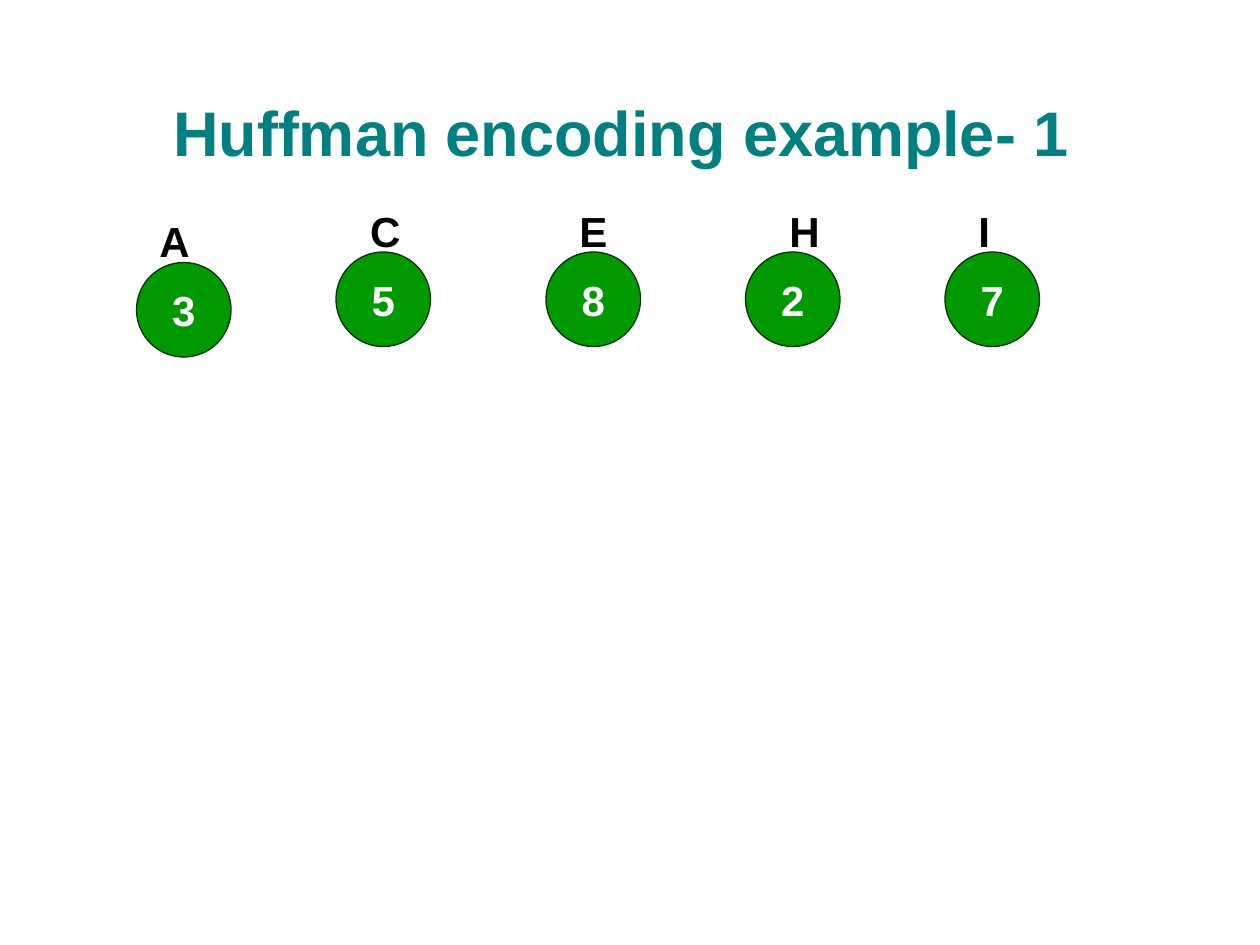
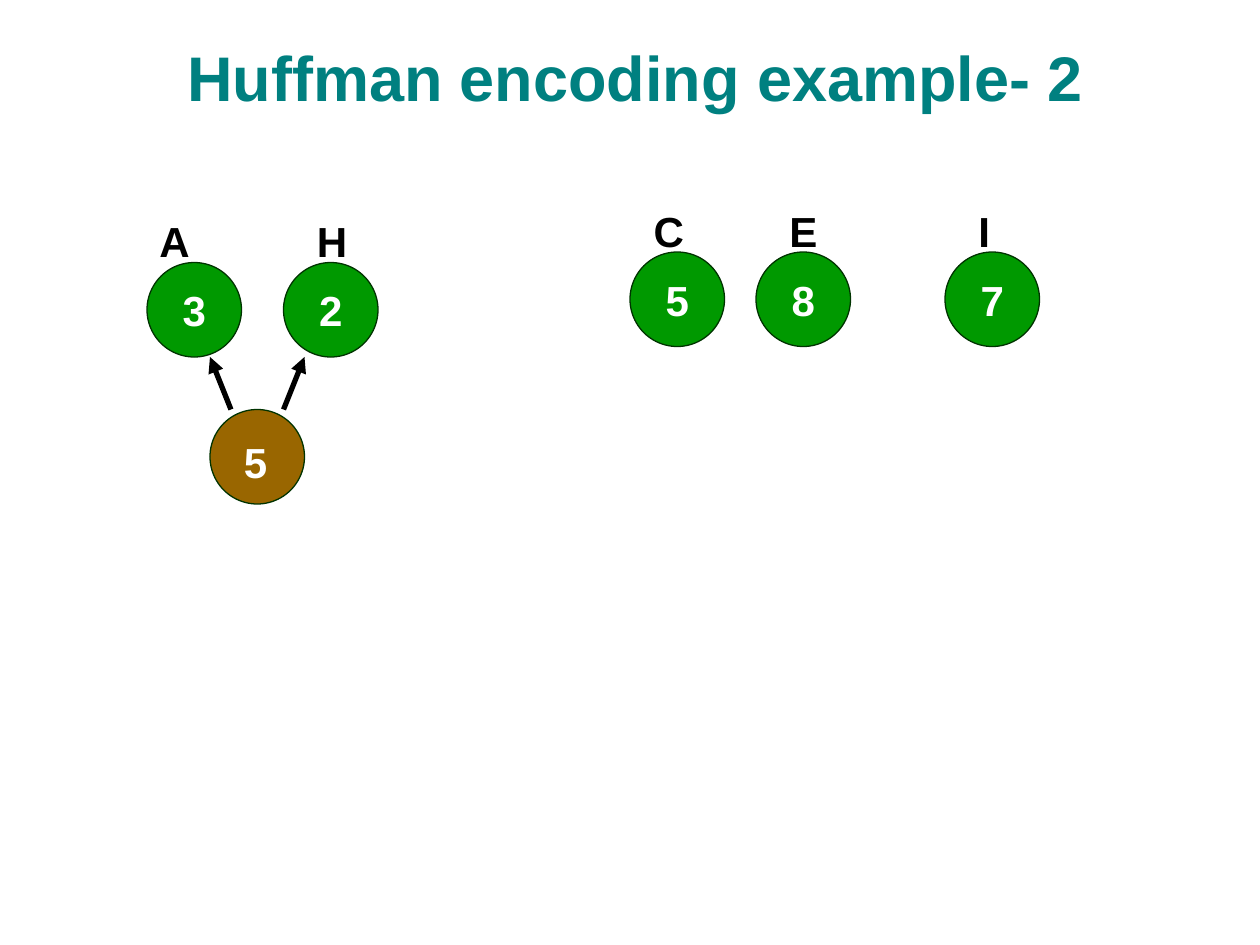
"""Build two slides that show the first steps of a Huffman encoding."""
import pptx
import pptx.dml.color
import pptx.enum.shapes
import pptx.enum.text
import pptx.oxml
import pptx.oxml.ns
import pptx.util

Pt = pptx.util.Pt
RGBColor = pptx.dml.color.RGBColor
Align = pptx.enum.text.PP_ALIGN
Anchor = pptx.enum.text.MSO_ANCHOR
Fit = pptx.enum.text.MSO_AUTO_SIZE
Kind = pptx.enum.shapes.MSO_SHAPE
Link = pptx.enum.shapes.MSO_CONNECTOR

TEAL = RGBColor(0x00, 0x80, 0x80)
GREEN = RGBColor(0x00, 0x99, 0x00)
BROWN = RGBColor(0x99, 0x66, 0x00)
EDGE = RGBColor(0x00, 0x33, 0x00)
WHITE = RGBColor(0xFF, 0xFF, 0xFF)
BLACK = RGBColor(0x00, 0x00, 0x00)

NODE = 54
HIGH = 144
LOW = 150
RISE = 30.3
COUNTS = {"A": 3, "C": 5, "E": 8, "H": 2, "I": 7}
WIDTHS = {"A": 31.7, "C": 31.7, "E": 30.4, "H": 31.7, "I": 21}


def write(shape, text, size=24, color=BLACK, align=Align.LEFT,
          anchor=Anchor.TOP, wrap=False, fit=Fit.NONE):
    frame = shape.text_frame
    frame.word_wrap = wrap
    frame.auto_size = fit
    frame.vertical_anchor = anchor
    frame.margin_left = frame.margin_right = Pt(7.2)
    frame.margin_top = frame.margin_bottom = Pt(3.6)
    para = frame.paragraphs[0]
    para.alignment = align
    run = para.add_run()
    run.text = text
    run.font.name = "Arial"
    run.font.size = Pt(size)
    run.font.bold = True
    run.font.color.rgb = color


def circle(slide, left, top, fill):
    node = slide.shapes.add_shape(Kind.OVAL, Pt(left), Pt(top), Pt(NODE), Pt(NODE))
    node.shadow.inherit = False
    node.fill.solid()
    node.fill.fore_color.rgb = fill
    node.line.color.rgb = EDGE
    node.line.width = Pt(0.75)
    return node


deck = pptx.Presentation()
deck.slide_width, deck.slide_height = Pt(720), Pt(540)

steps = [
    ("Huffman encoding example- 1", 16, 43.5,
     [("A", 78, LOW, 84), ("C", 192, HIGH, 204.5), ("E", 312, HIGH, 324),
      ("H", 426, HIGH, 444), ("I", 540, HIGH, 552)]),
    ("Huffman encoding example- 2", 24, 12,
     [("A", 84, LOW, 84), ("C", 360, HIGH, 366.5), ("E", 432, HIGH, 444),
      ("H", 162, LOW, 174), ("I", 540, HIGH, 552)]),
]

for title, left, top, leaves in steps:
    slide = deck.slides.add_slide(deck.slide_layouts[5])
    head = slide.shapes.title
    head.left, head.top, head.width, head.height = Pt(left), Pt(top), Pt(678), Pt(57)
    write(head, title, size=36, color=TEAL, align=Align.CENTER,
          anchor=Anchor.BOTTOM, wrap=True)
    for letter, x, y, start in leaves:
        leaf = circle(slide, x, y, GREEN)
        write(leaf, str(COUNTS[letter]), color=WHITE, align=Align.CENTER,
              anchor=Anchor.MIDDLE)
        label = slide.shapes.add_textbox(Pt(start), Pt(y - RISE),
                                         Pt(WIDTHS[letter]), Pt(36))
        write(label, letter, fit=Fit.SHAPE_TO_FIT_TEXT)

circle(slide, 120, 234, BROWN)
total = slide.shapes.add_textbox(Pt(132.2), Pt(245.8), Pt(27.4), Pt(36))
write(total, str(COUNTS["A"] + COUNTS["H"]), color=WHITE, fit=Fit.SHAPE_TO_FIT_TEXT)

for start, end in [(132, 120), (162, 174)]:
    arrow = slide.shapes.add_connector(Link.STRAIGHT, Pt(start), Pt(234),
                                       Pt(end), Pt(LOW + NODE))
    arrow.line.color.rgb = BLACK
    arrow.line.width = Pt(3)
    tip = pptx.oxml.parse_xml(
        "<a:tailEnd %s type='triangle'/>" % pptx.oxml.ns.nsdecls("a"))
    arrow.line._get_or_add_ln().append(tip)
    props = arrow._element.spPr
    props.append(pptx.oxml.parse_xml("<a:effectLst %s/>" % pptx.oxml.ns.nsdecls("a")))

deck.save("out.pptx")
